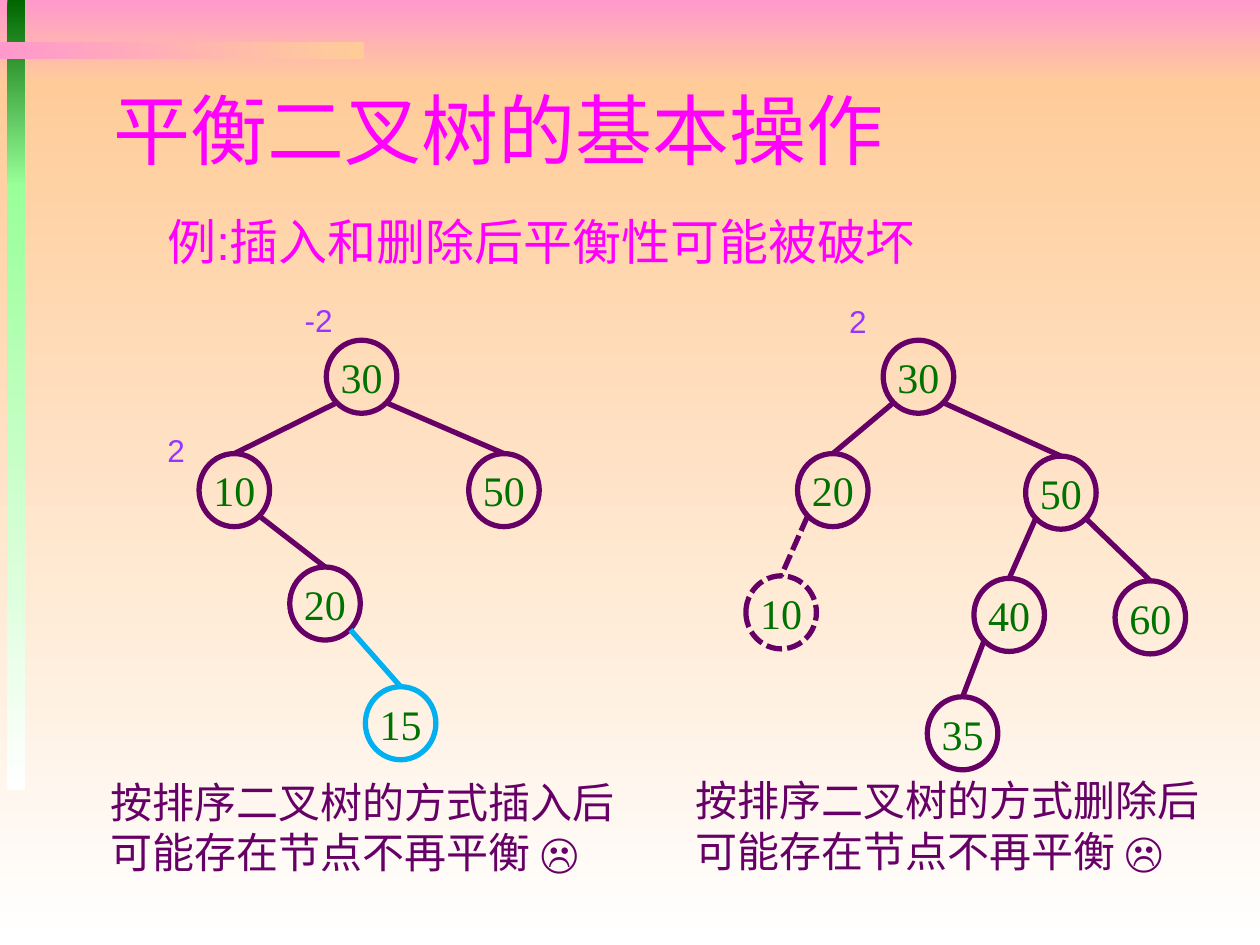
from lxml import etree
from pptx import Presentation
from pptx.dml.color import RGBColor
from pptx.enum.dml import MSO_LINE
from pptx.enum.shapes import MSO_CONNECTOR, MSO_SHAPE
from pptx.enum.text import MSO_ANCHOR, PP_ALIGN
from pptx.oxml.ns import qn
from pptx.util import Inches, Pt

RECTANGLE = MSO_SHAPE.RECTANGLE
OVAL = MSO_SHAPE.OVAL
STRAIGHT = MSO_CONNECTOR.STRAIGHT
DASH = MSO_LINE.SQUARE_DOT
MIDDLE = MSO_ANCHOR.MIDDLE
TOP = MSO_ANCHOR.TOP
CENTER = PP_ALIGN.CENTER
LEFT = PP_ALIGN.LEFT

COLUMNS, ROWS = 100, 75
PINK, PEACH, WHITE = "FF99CC", "FFCC99", "FFFFFF"
DARK_GREEN, LIGHT_GREEN = "006600", "99FF99"
MAGENTA, PURPLE, VIOLET = "FF00FF", "660066", "9933FF"
KEY_GREEN, INSERTED_BLUE = "007200", "00B0F0"
DOWN, ACROSS = 270, 0


def color(value):
    return RGBColor.from_string(value)


class TreeSlide:
    node_width, node_height = 5.6, 5.8
    line_width = Pt(3)

    def __init__(self, presentation):
        self.slide = presentation.slides.add_slide(presentation.slide_layouts[6])
        self.column = presentation.slide_width / COLUMNS
        self.row = presentation.slide_height / ROWS

    def place(self, left, top, width, height):
        return (round(left * self.column), round(top * self.row),
                round(width * self.column), round(height * self.row))

    def band(self, area, start, end, angle):
        shape = self.slide.shapes.add_shape(RECTANGLE, *self.place(*area))
        shape.shadow.inherit = False
        shape.line.fill.background()
        shape.fill.gradient()
        shape.fill.gradient_angle = angle
        for stop, value, position in zip(shape.fill.gradient_stops, (start, end), (0, 1)):
            stop.color.rgb = color(value)
            stop.position = position

    def set_text(self, shape, content, size, font_name, value, alignment=LEFT):
        shape.text_frame.text = content
        for paragraph in shape.text_frame.paragraphs:
            paragraph.alignment = alignment
            for run in paragraph.runs:
                run.font.size = Pt(size)
                run.font.name = font_name
                run.font.color.rgb = color(value)

    def text(self, area, content, size, value, font_name="Arial", wrap=True, anchor=TOP):
        box = self.slide.shapes.add_textbox(*self.place(*area))
        box.text_frame.word_wrap = wrap
        box.text_frame.vertical_anchor = anchor
        self.set_text(box, content, size, font_name, value)

    def balance(self, left, top, content):
        self.text((left, top, 4.5, 4), content, 18, VIOLET)

    def outline(self, line, value, dashed):
        line.color.rgb = color(value)
        line.width = self.line_width
        if dashed:
            line.dash_style = DASH

    def node(self, left, top, key, value, dashed):
        area = self.place(left, top, self.node_width, self.node_height)
        shape = self.slide.shapes.add_shape(OVAL, *area)
        shape.shadow.inherit = False
        shape.fill.background()
        self.outline(shape.line, value, dashed)
        frame = shape.text_frame
        frame.margin_left = frame.margin_right = frame.margin_top = frame.margin_bottom = 0
        frame.vertical_anchor = MIDDLE
        self.set_text(shape, key, 24, "Times New Roman", KEY_GREEN, CENTER)

    def edge(self, parent, child, value, dashed):
        side = 0.86 if child[0] > parent[0] else 0.14
        start = self.place(parent[0] + side * self.node_width,
                           parent[1] + 0.86 * self.node_height, 0, 0)[:2]
        end = self.place(child[0] + self.node_width / 2, child[1], 0, 0)[:2]
        connector = self.slide.shapes.add_connector(STRAIGHT, *start, *end)
        self.outline(connector.line, value, dashed)
        etree.SubElement(connector._element.spPr, qn("a:effectLst"))

    def tree(self, nodes, parents, inserted=None, deleted=None):
        for key, position in nodes.items():
            value = INSERTED_BLUE if key == inserted else PURPLE
            self.node(*position, key, value, key == deleted)
            if key in parents:
                self.edge(nodes[parents[key]], position, value, key == deleted)


def main():
    presentation = Presentation()
    presentation.slide_width = Inches(10)
    presentation.slide_height = Inches(7.5)
    page = TreeSlide(presentation)

    page.band((0, 0, 100, 6.7), PINK, PEACH, DOWN)
    page.band((0, 6.7, 100, 68.3), PEACH, WHITE, DOWN)
    page.band((0.6, 0, 1.4, 14.8), DARK_GREEN, LIGHT_GREEN, DOWN)
    page.band((0.6, 14.6, 1.4, 48.1), LIGHT_GREEN, WHITE, DOWN)
    page.band((0, 3.3, 28.9, 1.4), PINK, PEACH, ACROSS)

    page.text((8, 5.7, 85, 9), "平衡二叉树的基本操作", 44, MAGENTA, "Arial Narrow", anchor=MIDDLE)
    page.text((12.3, 16.3, 73.9, 9), "例:插入和删除后平衡性可能被破坏", 28, MAGENTA)

    for left, top, action in ((7.8, 61.1, "插入"), (54.2, 61, "删除")):
        caption = f"按排序二叉树的方式{action}后\n可能存在节点不再平衡 ☹"
        page.text((left, top, 42.4, 9.1), caption, 24, PURPLE, wrap=False)

    page.tree(
        {"30": (25.9, 27), "10": (15.8, 36), "50": (37.2, 36),
         "20": (23, 45), "15": (29, 54.5)},
        {"10": "30", "50": "30", "20": "10", "15": "20"},
        inserted="15",
    )
    page.tree(
        {"30": (70.1, 27), "20": (63.3, 36), "50": (81.4, 36.2), "10": (59.2, 45.7),
         "40": (77.3, 45.9), "60": (88.5, 46.1), "35": (73.6, 55.3)},
        {"20": "30", "50": "30", "10": "20", "40": "50", "60": "50", "35": "40"},
        deleted="10",
    )

    for left, top, factor in ((12.3, 33.7, "2"), (23.2, 23.4, "-2"), (66.4, 23.5, "2")):
        page.balance(left, top, factor)

    presentation.save("out.pptx")


if __name__ == "__main__":
    main()
